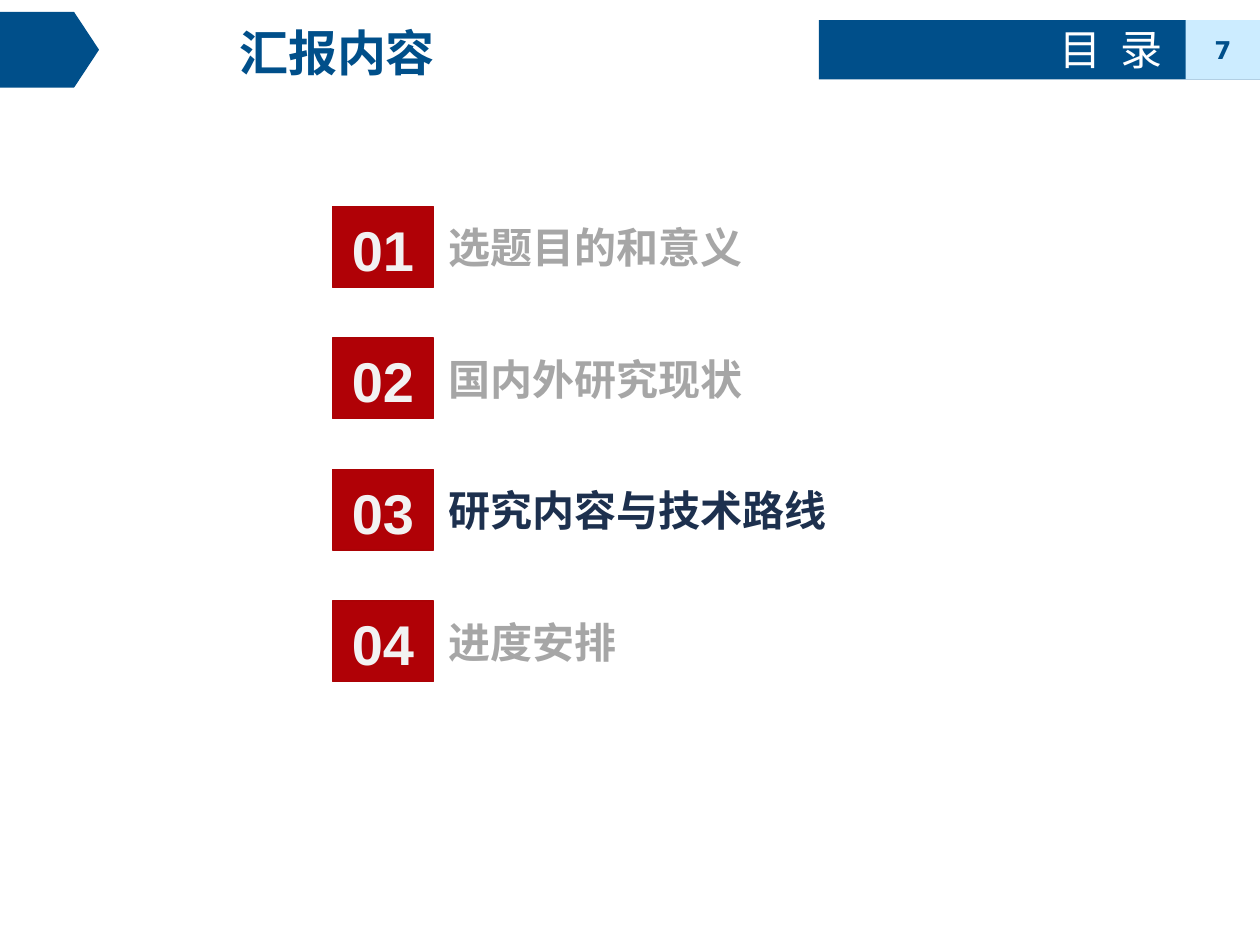
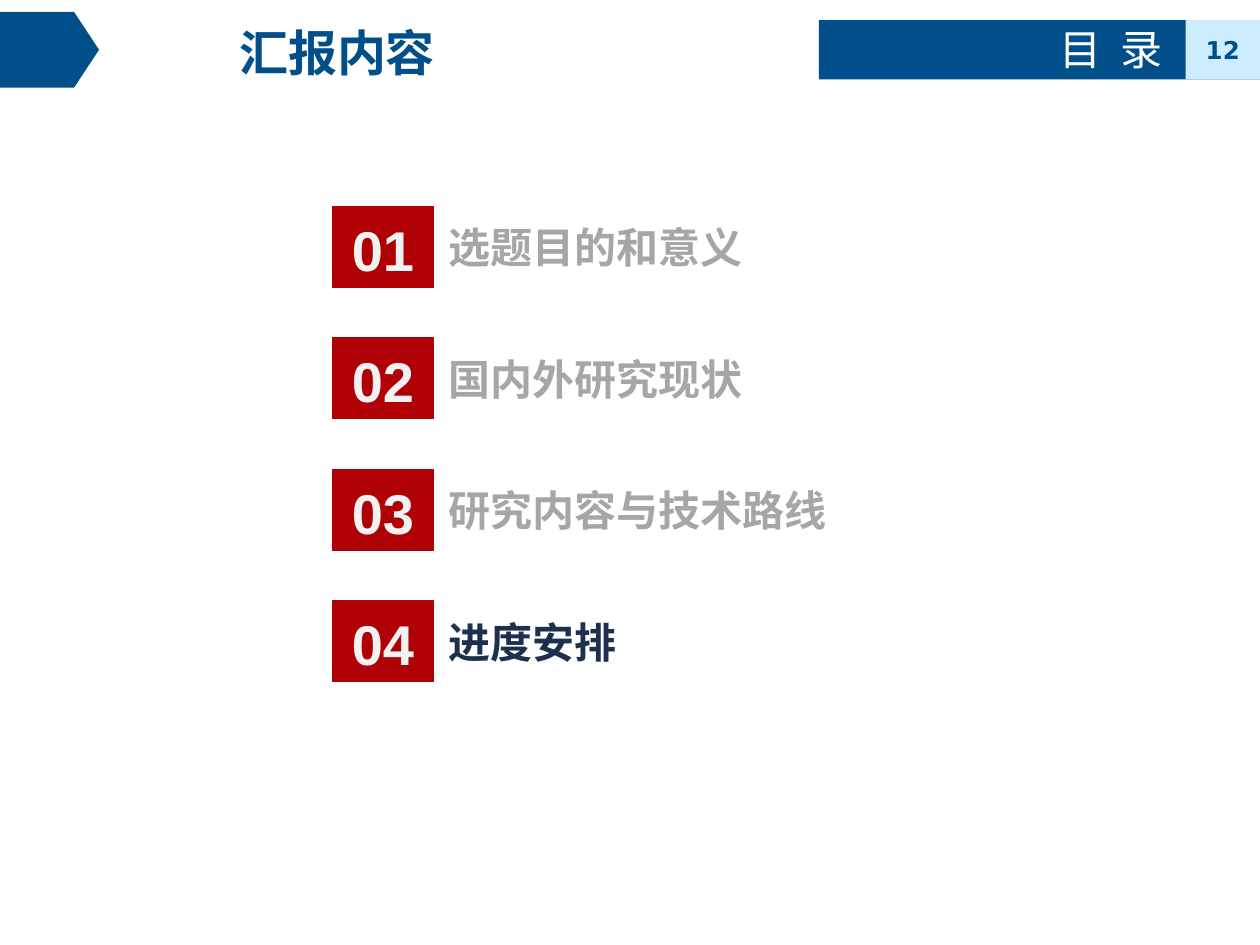
"""Build the two agenda slides that open chapters 03 and 04 of the report."""
from lxml.etree import SubElement
from pptx import Presentation
from pptx.dml.color import RGBColor
from pptx.enum.shapes import MSO_SHAPE as SHAPE
from pptx.enum.text import MSO_ANCHOR as ANCHOR, MSO_AUTO_SIZE as AUTO_SIZE, PP_ALIGN as ALIGN
from pptx.oxml.ns import qn
from pptx.util import Inches, Pt

BLUE, PALE_BLUE, NAVY = "004F8A", "CCECFF", "1D304E"
RED, DARK_RED = "B00106", "AB0205"
WHITE, OFF_WHITE, GREY = "FFFFFF", "F2F2F2", "A6A6A6"
CHINESE_FONT = "Noto Sans CJK SC"

CHAPTERS = ["选题目的和意义", "国内外研究现状", "研究内容与技术路线", "进度安排"]
AGENDA_PAGES = [(7, 3), (12, 4)]
FIRST_ROW, LAST_ROW = 1.64, 4.77
ROW_PITCH = (LAST_ROW - FIRST_ROW) / (len(CHAPTERS) - 1)


def add_block(slide, preset, box, fill, line=None):
    """Add a flat preset shape at box (left, top, width, height in inches)."""
    shape = slide.shapes.add_shape(preset, *map(Inches, box))
    shape.shadow.inherit = False
    shape.fill.solid()
    shape.fill.fore_color.rgb = RGBColor.from_string(fill)
    if line:
        shape.line.color.rgb = RGBColor.from_string(line)
        shape.line.width = Pt(0.75)
    else:
        shape.line.fill.background()
    return shape


def write_text(shape, text, size, color, font=CHINESE_FONT, bold=True,
               align=ALIGN.LEFT, spacing=0, top=0.05):
    """Write one formatted line, vertically centred in the shape."""
    frame = shape.text_frame
    frame.word_wrap = True
    frame.auto_size = AUTO_SIZE.NONE
    frame.vertical_anchor = ANCHOR.MIDDLE
    frame.margin_top = Inches(top)
    paragraph = frame.paragraphs[0]
    paragraph.alignment = align
    run = paragraph.add_run()
    run.text = text
    run.font.size = Pt(size)
    run.font.bold = bold
    run.font.color.rgb = RGBColor.from_string(color)
    run.font.name = font
    properties = run.font._element
    SubElement(properties, qn("a:ea")).set("typeface", font)
    if spacing:
        properties.set("spc", str(int(spacing * 100)))


presentation = Presentation()
presentation.slide_width = Inches(10)
presentation.slide_height = Inches(7.5)
title_only = presentation.slide_layouts[5]

for page, current_chapter in AGENDA_PAGES:
    slide = presentation.slides.add_slide(title_only)

    add_block(slide, SHAPE.RECTANGLE, (6.5, 0.16, 3.5, 0.47), BLUE)
    arrow = add_block(slide, SHAPE.PENTAGON, (0, 0.1, 0.78, 0.59), BLUE, line=BLUE)
    arrow.adjustments[0] = 0.33
    page_box = add_block(slide, SHAPE.RECTANGLE, (9.41, 0.16, 0.59, 0.47), PALE_BLUE)
    write_text(page_box, str(page), 14, BLUE, font="DejaVu Sans", align=ALIGN.CENTER)

    title = slide.shapes.title
    title.left, title.top = Inches(1.3), Inches(0.13)
    title.width, title.height = Inches(2.75), Inches(0.57)
    write_text(title, "汇报内容", 28, BLUE, align=ALIGN.CENTER)

    section = slide.shapes.add_textbox(Inches(8.31), Inches(0.14), Inches(1.08), Inches(0.5))
    write_text(section, "目 录", 24, WHITE, bold=False, spacing=2.7)

    for number, chapter in enumerate(CHAPTERS, start=1):
        row_top = FIRST_ROW + (number - 1) * ROW_PITCH
        number_box = add_block(slide, SHAPE.RECTANGLE, (2.64, row_top, 0.8, 0.64), RED, line=DARK_RED)
        write_text(number_box, f"{number:02d}", 32, OFF_WHITE, font="Arial",
                   align=ALIGN.CENTER, top=0.08)
        label = slide.shapes.add_textbox(Inches(3.46), Inches(row_top + 0.07), Inches(4.69), Inches(0.5))
        write_text(label, chapter, 24, NAVY if number == current_chapter else GREY)

presentation.save("out.pptx")
